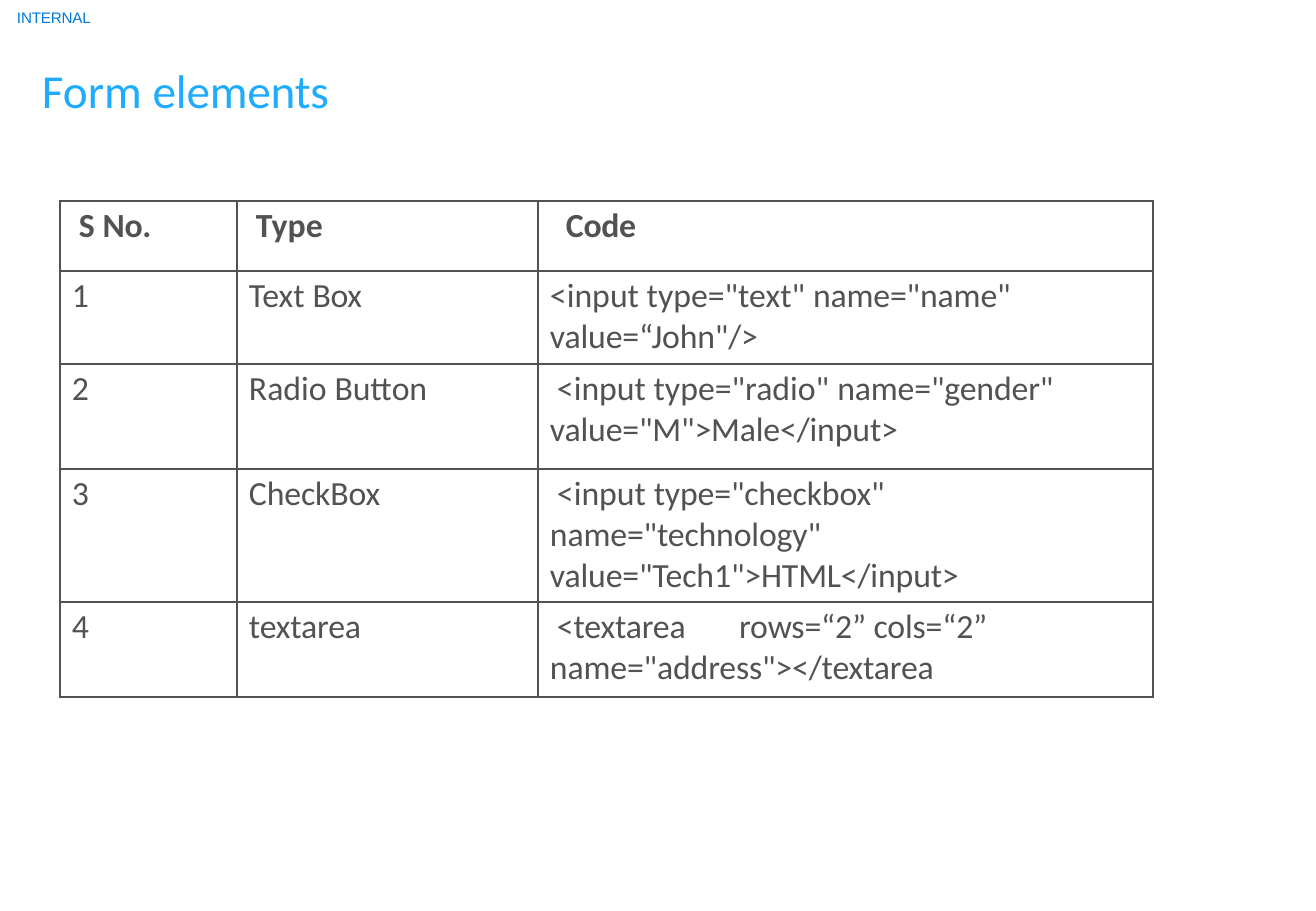
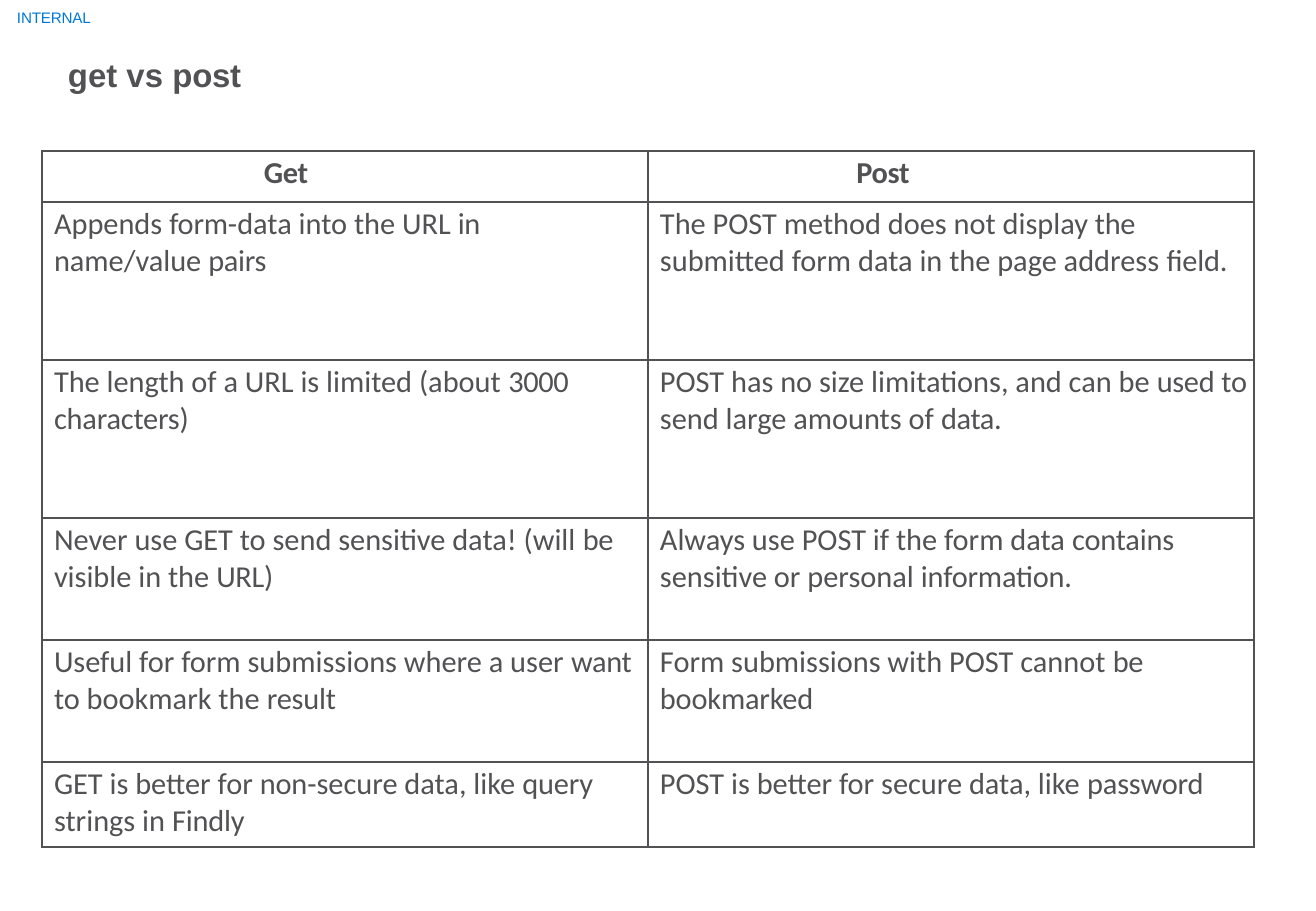
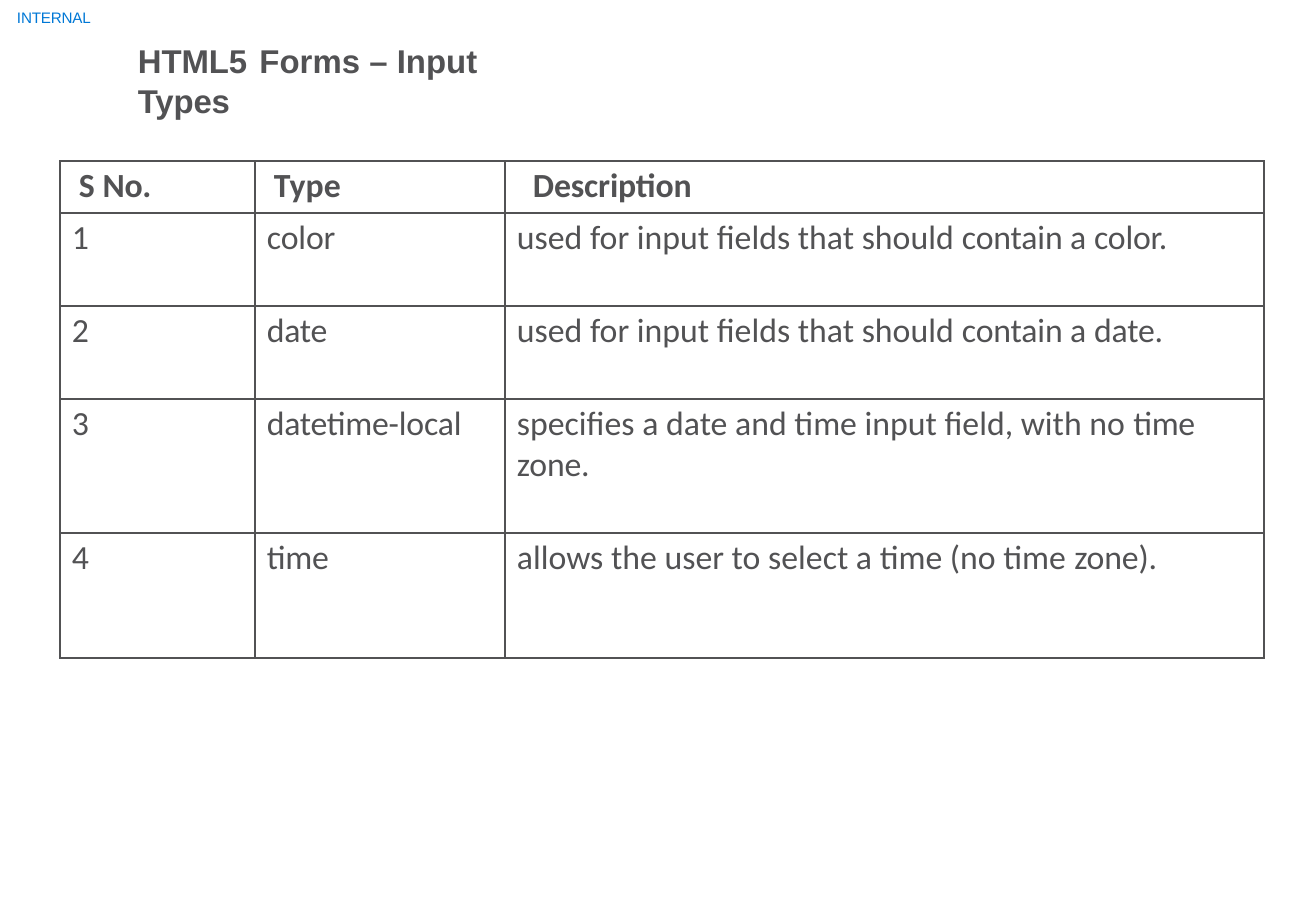
from dataclasses import dataclass

from lxml import etree
from pptx import Presentation
from pptx import util as u
from pptx.dml.color import RGBColor
from pptx.enum import text
from pptx.oxml import ns

EMU_PER_PX = 914400 / 121.5


@dataclass(frozen=True)
class Style:
    font: str
    size: float
    color: str
    bold: bool = False


@dataclass(frozen=True)
class Theme:
    marking: Style = Style("Arial", 9, "0078D6")
    main_title: Style = Style("Calibri", 28, "1FACFF")
    topic_title: Style = Style("Arial", 19.5, "525254", True)
    head: Style = Style("Calibri", 20, "525254", True)
    body: Style = Style("Calibri", 20, "525254")
    small_head: Style = Style("Calibri", 18, "525254", True)
    small_body: Style = Style("Calibri", 18, "525254")
    rule: str = "525254"
    rule_width: float = 1
    cell_fill: str = "FFFFFF"
    cell_top: int = 4
    box_top: int = 3


@dataclass(frozen=True)
class Line:
    runs: tuple
    left: int = 12
    first: int = 0
    tab: int = 0
    align: object = None


@dataclass(frozen=True)
class Cell:
    lines: tuple
    right: int = 0


THEME = Theme()


def px(length):
    return u.Emu(round(length * EMU_PER_PX))


def tight(words, amount=10):
    return words, -amount


def line(*runs, **options):
    return Line(tuple(run if isinstance(run, tuple) else (run, 0) for run in runs), **options)


def cell(*lines, right=0):
    return Cell(lines, right)


def plain(*runs, **options):
    return cell(line(*runs, **options))


def centred(words, right):
    return cell(line(tight(words, 20), left=0, align=text.PP_ALIGN.CENTER), right=right)


def numbered(rows):
    return [(plain(tight(str(number), 50)), *row) for number, row in enumerate(rows, 1)]


def set_margins(target, top, right=0):
    target.margin_left = target.margin_bottom = 0
    target.margin_top = px(top)
    target.margin_right = px(right)


def write_lines(frame, lines, style):
    for index, content in enumerate(lines):
        paragraph = frame.add_paragraph() if index else frame.paragraphs[0]
        if content.align is not None:
            paragraph.alignment = content.align
        properties = paragraph._p.get_or_add_pPr()
        properties.set("marL", str(px(content.left)))
        properties.set("indent", str(px(content.first)))
        if content.tab:
            tabs = etree.SubElement(properties, ns.qn("a:tabLst"))
            etree.SubElement(tabs, ns.qn("a:tab"), pos=str(px(content.tab)), algn="l")
        for words, spacing in content.runs:
            run = paragraph.add_run()
            run.text = words
            run.font.name = style.font
            run.font.size = u.Pt(style.size)
            run.font.bold = style.bold
            run.font.color.rgb = RGBColor.from_string(style.color)
            if spacing:
                run._r.get_or_add_rPr().set("spc", str(spacing))


def add_label(slide, box, content, style):
    frame = slide.shapes.add_textbox(*map(px, box)).text_frame
    frame.word_wrap = True
    set_margins(frame, THEME.box_top)
    write_lines(frame, [content], style)


def add_borders(table_cell):
    properties = table_cell._tc.get_or_add_tcPr()
    for index, side in enumerate("LRTB"):
        border = etree.Element(ns.qn(f"a:ln{side}"), w=str(u.Pt(THEME.rule_width)))
        fill = etree.SubElement(border, ns.qn("a:solidFill"))
        etree.SubElement(fill, ns.qn("a:srgbClr"), val=THEME.rule)
        properties.insert(index, border)


def add_grid(slide, origin, widths, heights, rows, head, body):
    box = (*origin, sum(widths), sum(heights))
    table = slide.shapes.add_table(len(heights), len(widths), *map(px, box)).table
    table.first_row = table.horz_banding = False
    for column, width in zip(table.columns, widths):
        column.width = px(width)
    for index, (row, height, contents) in enumerate(zip(table.rows, heights, rows)):
        row.height = px(height)
        for table_cell, content in zip(row.cells, contents):
            set_margins(table_cell, THEME.cell_top, content.right)
            table_cell.fill.solid()
            table_cell.fill.fore_color.rgb = RGBColor.from_string(THEME.cell_fill)
            add_borders(table_cell)
            write_lines(table_cell.text_frame, content.lines, body if index else head)


def add_table_slide(presentation, title_box, title, title_style, **grid):
    slide = presentation.slides.add_slide(presentation.slide_layouts[6])
    add_label(slide, (16, 5, 78, 22), line(tight("INTERNAL"), left=1), THEME.marking)
    add_label(slide, title_box, title, title_style)
    add_grid(slide, **grid)


def list_head(*last):
    return (plain("S ", tight("No.", 20), left=19), plain("Type", left=19),
            plain(*last, left=28))


def add_form_elements(presentation):
    rows = [
        (plain("Text ", tight("Box", 20)),
         cell(line('<input type="text" ', tight('name="name"')),
              line(tight('value=“John"/>')))),
        (plain("Radio ", tight("Button")),
         cell(line('<input type="radio" ', tight('name="gender"'), left=19),
              line(tight('value="M">Male</input>')))),
        (plain(tight("CheckBox")),
         plain("<input ",
               tight('type="checkbox" name="technology" value="Tech1">HTML</input>'), first=7)),
        (plain(tight("textarea")),
         cell(line(tight("<textarea\trows=“2” cols=“2”"), left=19, tab=174),
              line(tight('name="address"></textarea')))),
    ]
    add_table_slide(
        presentation, (41, 58, 292, 60), line("Form ", tight("elements"), left=1),
        THEME.main_title, origin=(60, 201), widths=(177, 301, 615),
        heights=(70, 93, 105, 133, 95), rows=[list_head(tight("Code", 20)), *numbered(rows)],
        head=THEME.head, body=THEME.body)


def add_get_vs_post(presentation):
    rows = [
        (centred("Get", 118), centred("Post", 136)),
        (cell(line("Appends ", tight("form-"), "data into the URL ", tight("in ", 30),
                   "name/value ", tight("pairs", 20)), right=60),
         plain("The POST method does not display", tight(" the ", 20),
               "submitted form data in the page address ", tight("field."))),
        (plain("The length of a URL is limited (about ", tight("3000 ", 20),
               tight("characters)")),
         plain("POST has no size limitations, and can be", tight(" used ", 20),
               "to send large amounts of ", tight("data.", 20))),
        (plain("Never use GET to send sensitive data! (will ", tight("be ", 20),
               "visible in the ", tight("URL)", 20)),
         plain("Always use POST if the form data ", tight("contains "),
               "sensitive or personal ", tight("information."))),
        (cell(line("Useful for form submissions where a user ", tight("want", 20)),
              line("to bookmark the ", tight("result"))),
         cell(line("Form submissions with POST cannot ", tight("be", 20)),
              line(tight("bookmarked")))),
        (plain("GET is better for ", tight("non-"), "secure data, like ", tight("query "),
               "strings in ", tight("Findly")),
         plain("POST is better for secure data, like ", tight("password"))),
    ]
    add_table_slide(
        presentation, (40, 52, 1237, 43), line("get vs ", tight("post", 20), left=28),
        THEME.topic_title, origin=(42, 151), widths=(606, 606),
        heights=(51, 158, 158, 122, 122, 85), rows=rows,
        head=THEME.small_head, body=THEME.small_body)


def add_input_types(presentation):
    def used_for(kind):
        return plain("used for input fields that should ", tight("contain "), "a ", tight(kind))

    rows = [
        (plain(tight("color")), used_for("color.")),
        (plain(tight("date", 20)), used_for("date.")),
        (plain(tight("datetime-", 20), tight("local")),
         cell(line("specifies a date and time input field, with no ", tight("time", 20)),
              line(tight("zone.")))),
        (plain(tight("time", 20)),
         plain("allows the user to select a time (no time ", tight("zone)."))),
    ]
    add_table_slide(
        presentation, (137, 38, 440, 83),
        line(tight("HTML5"), "\tForms – Input ", tight("Types"), left=1, tab=130),
        THEME.topic_title, origin=(60, 161), widths=(195, 250, 759),
        heights=(52, 93, 93, 134, 125),
        rows=[list_head(tight("Description")), *numbered(rows)],
        head=THEME.head, body=THEME.body)


def main():
    presentation = Presentation()
    presentation.slide_width = px(1316)
    presentation.slide_height = px(911)
    add_form_elements(presentation)
    add_get_vs_post(presentation)
    add_input_types(presentation)
    presentation.save("out.pptx")


if __name__ == "__main__":
    main()
